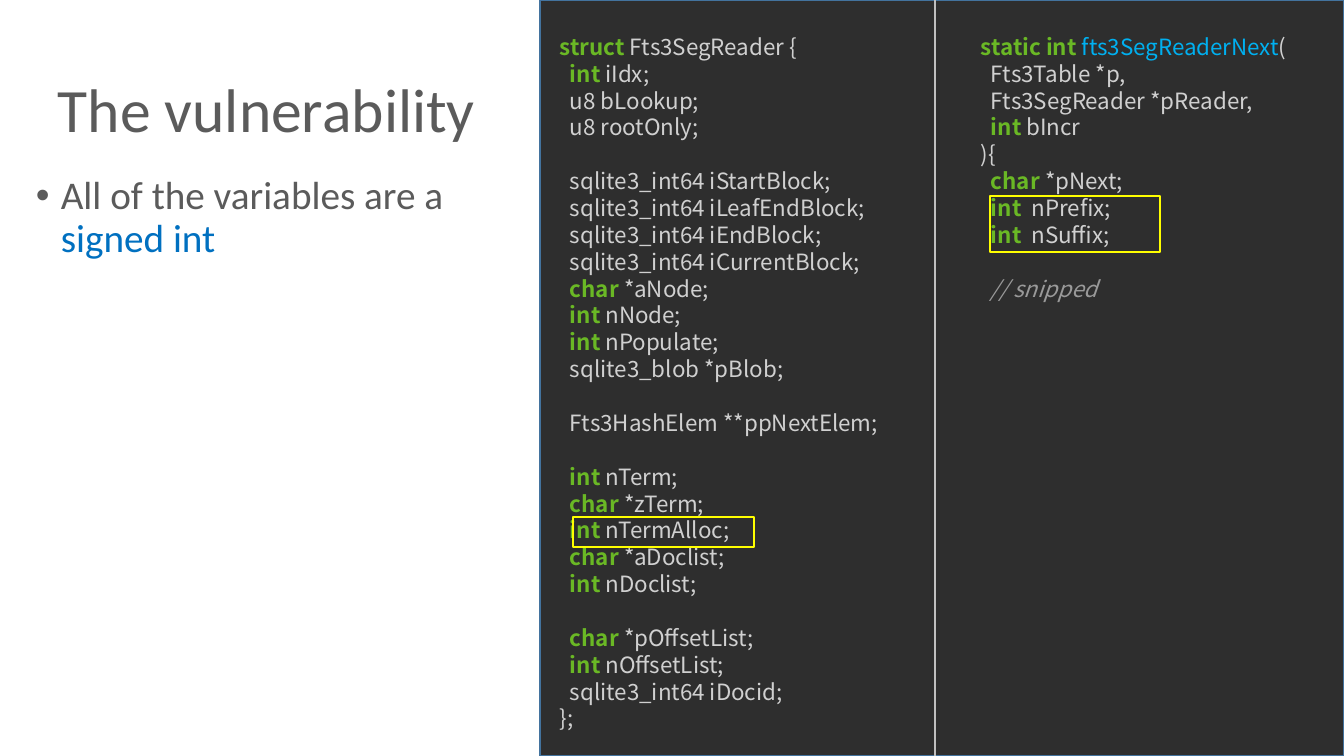
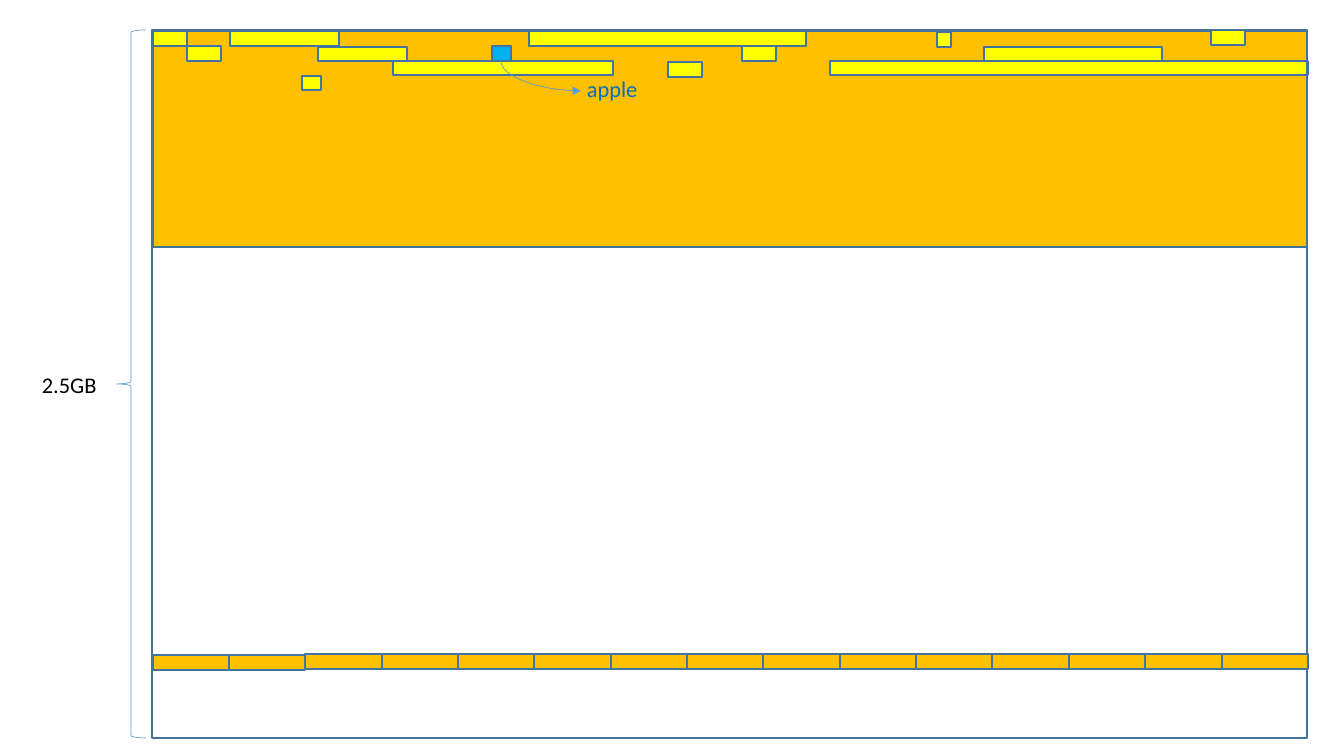
from itertools import groupby

from lxml.etree import SubElement
from pptx import Presentation
from pptx.dml.color import RGBColor
from pptx.enum.shapes import MSO_CONNECTOR as Connector, MSO_SHAPE as Shape
from pptx.enum.text import MSO_ANCHOR as Anchor
from pptx.oxml.ns import qn
from pptx.util import Emu, Pt

PX = 914400 / 100.8
BODY_FONT, CODE_FONT = "Calibri", "Noto Sans CJK KR"
TEXT, LINK, BLACK = "5B5B5B", "0070C0", "000000"
DARK, RULE, EDGE, THIN = "2E2E2E", "BFBFBF", "43739E", "5B9BD5"
YELLOW, AMBER, CYAN = "FFFF00", "FFC000", "00B0F0"
CODE, KEYWORD, COMMENT = "D0D0D0", "6AB825", "999999"
KEYWORDS = {"struct", "static", "int", "char"}
CODE_SIZE, CODE_LEADING = 16, 19.2

READER_STRUCT = """struct Fts3SegReader {
  int iIdx;
  u8 bLookup;
  u8 rootOnly;

  sqlite3_int64 iStartBlock;
  sqlite3_int64 iLeafEndBlock;
  sqlite3_int64 iEndBlock;
  sqlite3_int64 iCurrentBlock;
  char *aNode;
  int nNode;
  int nPopulate;
  sqlite3_blob *pBlob;

  Fts3HashElem **ppNextElem;

  int nTerm;
  char *zTerm;
  int nTermAlloc;
  char *aDoclist;
  int nDoclist;

  char *pOffsetList;
  int nOffsetList;
  sqlite3_int64 iDocid;
};"""

READER_NEXT = """static int fts3SegReaderNext(
  Fts3Table *p,
  Fts3SegReader *pReader,
  int bIncr
){
  char *pNext;
  int  nPrefix;
  int  nSuffix;

  // snipped"""

USED_BLOCKS = [
    (153, 31, 34, 15), (230, 31, 109, 15), (187, 46, 34, 15),
    (393, 61, 220, 14), (668, 62, 34, 15), (529, 31, 277, 15),
    (1211, 30, 34, 15), (984, 47, 178, 14), (830, 61, 478, 14),
    (937, 32, 14, 15), (318, 47, 89, 14), (742, 46, 34, 15),
    (302, 76, 19, 14),
]


def px(length):
    return Emu(round(length * PX))


def rgb(value):
    return RGBColor.from_string(value)


def code_runs(line):
    if line.lstrip().startswith("//"):
        return [(COMMENT, line)]
    pieces = []
    words = line.split(" ")
    for index, word in enumerate(words):
        gap = " " if index < len(words) - 1 else ""
        if word.endswith("("):
            pieces += [(CYAN, word[:-1]), (CODE, "(" + gap)]
        else:
            pieces.append((KEYWORD if word in KEYWORDS else CODE, word + gap))
    return [(tone, "".join(text for _, text in group))
            for tone, group in groupby(pieces, key=lambda piece: piece[0])]


class Deck:
    def __init__(self):
        self.deck = Presentation()
        self.deck.slide_width, self.deck.slide_height = px(1344), px(756)
        self.slide = None

    def new_slide(self):
        self.slide = self.deck.slides.add_slide(self.deck.slide_layouts[6])

    def box(self, left, top, width, height, fill=None, line=EDGE, weight=1.75, kind=Shape.RECTANGLE):
        shape = self.slide.shapes.add_shape(kind, px(left), px(top), px(width), px(height))
        shape.shadow.inherit = False
        if fill:
            shape.fill.solid()
            shape.fill.fore_color.rgb = rgb(fill)
        else:
            shape.fill.background()
        shape.line.color.rgb = rgb(line)
        shape.line.width = Pt(weight)

    def connector(self, start, end, color, weight, kind=Connector.STRAIGHT):
        line = self.slide.shapes.add_connector(kind, *map(px, start + end))
        line.line.color.rgb = rgb(color)
        line.line.width = Pt(weight)
        SubElement(line._element.spPr, qn("a:effectLst"))
        return line

    def quarter_arrow(self, start, end, color, weight):
        (x1, y1), (x2, y2) = start, end
        mid_x, mid_y = (x1 + x2) / 2, (y1 + y2) / 2
        half_w, half_h = (y2 - y1) / 2, (x2 - x1) / 2
        arrow = self.connector((mid_x + half_w, mid_y - half_h), (mid_x - half_w, mid_y + half_h),
                               color, weight, Connector.CURVE)
        properties = arrow._element.spPr
        properties.find(qn("a:xfrm")).set("rot", "16200000")
        properties.find(qn("a:prstGeom")).set("prst", "curvedConnector2")
        SubElement(properties.find(qn("a:ln")), qn("a:tailEnd"), type="triangle")

    def frame(self, left, top, width, height, anchor=Anchor.TOP):
        frame = self.slide.shapes.add_textbox(px(left), px(top), px(width), px(height)).text_frame
        frame.word_wrap = True
        frame.vertical_anchor = anchor
        return frame

    def text(self, left, top, width, height, runs, size, spacing=None, bullet=False, anchor=Anchor.TOP):
        paragraph = self.frame(left, top, width, height, anchor).paragraphs[0]
        if bullet:
            properties = paragraph._p.get_or_add_pPr()
            properties.set("marL", str(px(25)))
            properties.set("indent", str(-px(25)))
            SubElement(properties, qn("a:buFont"), typeface="Arial")
            SubElement(properties, qn("a:buChar"), char="•")
        if spacing:
            paragraph.line_spacing = spacing
        paragraph.font.name = BODY_FONT
        paragraph.font.size = Pt(size)
        for color, words in runs:
            run = paragraph.add_run()
            run.text = words
            run.font.color.rgb = rgb(color)

    def code(self, left, top, width, height, source):
        frame = self.frame(left, top, width, height)
        paragraph, after_gap = None, False
        for line in source.splitlines():
            if not line:
                after_gap = True
                continue
            paragraph = frame.add_paragraph() if paragraph else frame.paragraphs[0]
            paragraph.line_spacing = Pt(CODE_LEADING)
            if after_gap:
                paragraph.space_before = Pt(CODE_LEADING)
            after_gap = False
            paragraph.font.name = CODE_FONT
            paragraph.font.size = Pt(CODE_SIZE)
            for tone, words in code_runs(line):
                run = paragraph.add_run()
                run.text = words
                run.font.color.rgb = rgb(tone)
                if tone == KEYWORD:
                    run.font.bold = True
                if tone == COMMENT:
                    run.font.italic = True

    def save(self):
        self.deck.save("out.pptx")


def vulnerability_slide(deck):
    deck.new_slide()
    deck.text(48, 40, 485, 146, [(TEXT, "The vulnerability")], 44, 0.9, anchor=Anchor.MIDDLE)
    deck.box(540, 0, 804, 756, DARK, weight=1)
    deck.code(550, 28, 376, 723, READER_STRUCT)
    deck.text(26, 171, 481, 580, [(TEXT, "All of the variables are a "), (LINK, "signed int")],
              28, 0.9, bullet=True)
    deck.box(573, 517, 181, 30, line=YELLOW)
    deck.code(971, 28, 353, 281, READER_NEXT)
    deck.connector((935, 0), (935, 756), RULE, 1.5)
    deck.box(990, 196, 170, 56, line=YELLOW)


def memory_slide(deck):
    deck.new_slide()
    deck.box(153, 31, 1154, 216, AMBER)
    for block in USED_BLOCKS:
        deck.box(*block, YELLOW)
    deck.box(152, 30, 1155, 708)
    deck.box(116, 30, 30, 708, line=THIN, weight=0.5, kind=Shape.LEFT_BRACE)
    deck.text(32, 366, 99, 37, [(BLACK, "2.5GB")], 16)
    edges = [153 + index * 1069 // 14 for index in range(15)] + [1308]
    for index, (left, right) in enumerate(zip(edges, edges[1:])):
        deck.box(left, 655 if index < 2 else 654, right - left, 15, AMBER)
    deck.box(492, 46, 19, 15, CYAN)
    deck.quarter_arrow((501, 61), (581, 91), THIN, 0.5)
    deck.text(577, 70, 99, 37, [(LINK, "apple")], 16)


def main():
    deck = Deck()
    vulnerability_slide(deck)
    memory_slide(deck)
    deck.save()


if __name__ == "__main__":
    main()
